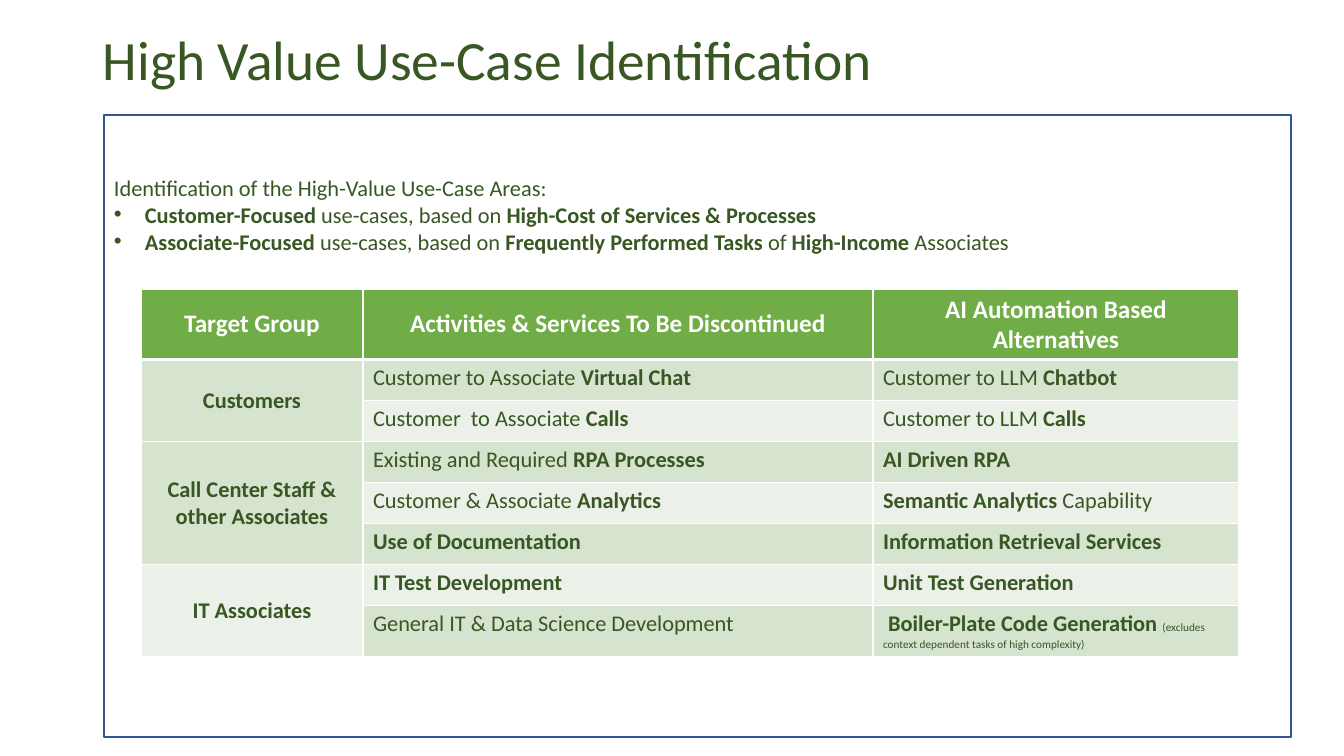
from dataclasses import dataclass
from typing import Any

from lxml import etree
from pptx import Presentation
from pptx.dml.color import RGBColor
from pptx.enum.shapes import MSO_SHAPE
from pptx.enum.text import MSO_ANCHOR, PP_ALIGN
from pptx.oxml.ns import qn
from pptx.util import Emu, Pt

RECTANGLE = MSO_SHAPE.RECTANGLE
TOP, MIDDLE = MSO_ANCHOR.TOP, MSO_ANCHOR.MIDDLE
LEFT, CENTER = PP_ALIGN.LEFT, PP_ALIGN.CENTER

PX_PER_INCH = 100.8
FONT = "Calibri"
COLORS = {
    "text": "385723",
    "frame": "325491",
    "header": "70AD47",
    "band_dark": "D5E3CF",
    "band_light": "EBF1E9",
    "white": "FFFFFF",
}
BODY_SIZE, HEADER_SIZE, NOTE_SIZE, TITLE_SIZE = 16, 18, 8, 39.6
BULLET_INDENT = 31


@dataclass(frozen=True)
class UseCase:
    """Bold stretches are set between double asterisks."""
    activity: str
    alternative: str
    note: str = ""


@dataclass(frozen=True)
class TargetGroup:
    name: str
    use_cases: tuple[UseCase, ...]


INTRO = "Identification of the High-Value Use-Case Areas:"
FOCUS_AREAS = (
    "**Customer-Focused** use-cases, based on **High-Cost of Services & Processes**",
    "**Associate-Focused** use-cases, based on **Frequently Performed Tasks **of "
    "**High-Income **Associates",
)
HEADINGS = (
    "Target Group",
    "Activities & Services To Be Discontinued",
    "AI Automation Based Alternatives",
)
TARGET_GROUPS = (
    TargetGroup("Customers", (
        UseCase("Customer to Associate **Virtual Chat**", "Customer to LLM **Chatbot**"),
        UseCase("Customer  to Associate **Calls**", "Customer to LLM **Calls**"),
    )),
    TargetGroup("Call Center Staff & other Associates", (
        UseCase("Existing and Required **RPA Processes**", "**AI Driven RPA**"),
        UseCase("Customer & Associate **Analytics**", "**Semantic Analytics **Capability"),
        UseCase("**Use of Documentation**", "**Information Retrieval Services**"),
    )),
    TargetGroup("IT Associates", (
        UseCase("**IT Test Development**", "**Unit Test Generation**"),
        UseCase("General IT & Data Science Development", " **Boiler-Plate Code Generation **",
                "(excludes context dependent tasks of high complexity)"),
    )),
)
COLUMN_WIDTHS = (222, 510, 366)
HEADER_HEIGHT, ROW_HEIGHT, LAST_ROW_HEIGHT = 70, 41, 51


def px(length: int) -> Emu:
    return Emu(round(length * 914400 / PX_PER_INCH))


def rgb(color: str) -> RGBColor:
    return RGBColor.from_string(COLORS[color])


def apply_format(target: Any, values: dict[str, Any]) -> None:
    for attribute, value in values.items():
        setattr(target, attribute, value)


def add_rich_text(paragraph: Any, marked: str, size: float = BODY_SIZE,
                  color: str = "text") -> None:
    """Add runs, with the stretches between double asterisks in bold."""
    for index, part in enumerate(marked.split("**")):
        if part:
            run = paragraph.add_run()
            run.text = part
            apply_format(run.font, {"name": FONT, "size": Pt(size), "bold": index % 2 == 1})
            run.font.color.rgb = rgb(color)


def add_bullet(paragraph: Any) -> None:
    properties = paragraph._p.get_or_add_pPr()
    properties.set("marL", str(px(BULLET_INDENT)))
    properties.set("indent", str(-px(BULLET_INDENT)))
    etree.SubElement(properties, qn("a:buFont"), typeface="Arial")
    etree.SubElement(properties, qn("a:buChar"), char="•")


def add_title(slide: Any) -> None:
    frame = slide.shapes.add_textbox(px(93), px(40), px(1210), px(44)).text_frame
    apply_format(frame, {"word_wrap": True, "vertical_anchor": MIDDLE})
    frame.paragraphs[0].line_spacing = 0.9
    add_rich_text(frame.paragraphs[0], "High Value Use-Case Identification", TITLE_SIZE)


def add_focus_panel(slide: Any) -> None:
    panel = slide.shapes.add_shape(RECTANGLE, px(104), px(115), px(1187), px(622))
    panel.shadow.inherit = False
    panel.fill.background()
    panel.line.color.rgb = rgb("frame")
    panel.line.width = Pt(1)
    frame = panel.text_frame
    apply_format(frame, {"word_wrap": True, "vertical_anchor": TOP, "margin_top": px(59)})
    intro = frame.paragraphs[0]
    intro.alignment = LEFT
    add_rich_text(intro, INTRO)
    for area in FOCUS_AREAS:
        paragraph = frame.add_paragraph()
        paragraph.alignment = LEFT
        add_bullet(paragraph)
        add_rich_text(paragraph, area)


def style_cell(cell: Any, fill: str, row: int) -> None:
    """Set white borders, thicker below the header, and then the fill."""
    properties = cell._tc.get_or_add_tcPr()
    widths = {"lnL": 1, "lnR": 1, "lnT": 3 if row == 1 else 1, "lnB": 3 if row == 0 else 1}
    for side, width in widths.items():
        border = etree.SubElement(properties, qn(f"a:{side}"), w=str(Pt(width)))
        solid = etree.SubElement(border, qn("a:solidFill"))
        etree.SubElement(solid, qn("a:srgbClr"), val=COLORS["white"])
    cell.fill.solid()
    cell.fill.fore_color.rgb = rgb(fill)


def write_centered(cell: Any, text: str, size: float, color: str) -> None:
    cell.vertical_anchor = MIDDLE
    paragraph = cell.text_frame.paragraphs[0]
    paragraph.alignment = CENTER
    add_rich_text(paragraph, f"**{text}**", size, color)


def add_use_case_table(slide: Any) -> None:
    row_count = sum(len(group.use_cases) for group in TARGET_GROUPS)
    heights = [HEADER_HEIGHT] + [ROW_HEIGHT] * (row_count - 1) + [LAST_ROW_HEIGHT]
    table = slide.shapes.add_table(
        len(heights), len(COLUMN_WIDTHS), px(141), px(289),
        px(sum(COLUMN_WIDTHS)), px(sum(heights))).table
    for column, width in zip(table.columns, COLUMN_WIDTHS):
        column.width = px(width)
    for table_row, height in zip(table.rows, heights):
        table_row.height = px(height)

    for column, heading in enumerate(HEADINGS):
        style_cell(table.cell(0, column), "header", 0)
        write_centered(table.cell(0, column), heading, HEADER_SIZE, "white")

    first = 1
    for group in TARGET_GROUPS:
        group_band = "band_dark" if first % 2 else "band_light"
        for row, use_case in enumerate(group.use_cases, first):
            band = "band_dark" if row % 2 else "band_light"
            for column, fill in enumerate((group_band, band, band)):
                style_cell(table.cell(row, column), fill, row)
            activity, alternative = (
                table.cell(row, column).text_frame.paragraphs[0] for column in (1, 2))
            add_rich_text(activity, use_case.activity)
            add_rich_text(alternative, use_case.alternative)
            add_rich_text(alternative, use_case.note, NOTE_SIZE)
        last = first + len(group.use_cases) - 1
        table.cell(first, 0).merge(table.cell(last, 0))
        write_centered(table.cell(first, 0), group.name, BODY_SIZE, "text")
        first = last + 1


def main() -> None:
    presentation = Presentation()
    apply_format(presentation, {"slide_width": px(1344), "slide_height": px(756)})
    slide = presentation.slides.add_slide(presentation.slide_layouts[6])
    add_title(slide)
    add_focus_panel(slide)
    add_use_case_table(slide)
    presentation.save("out.pptx")


if __name__ == "__main__":
    main()
